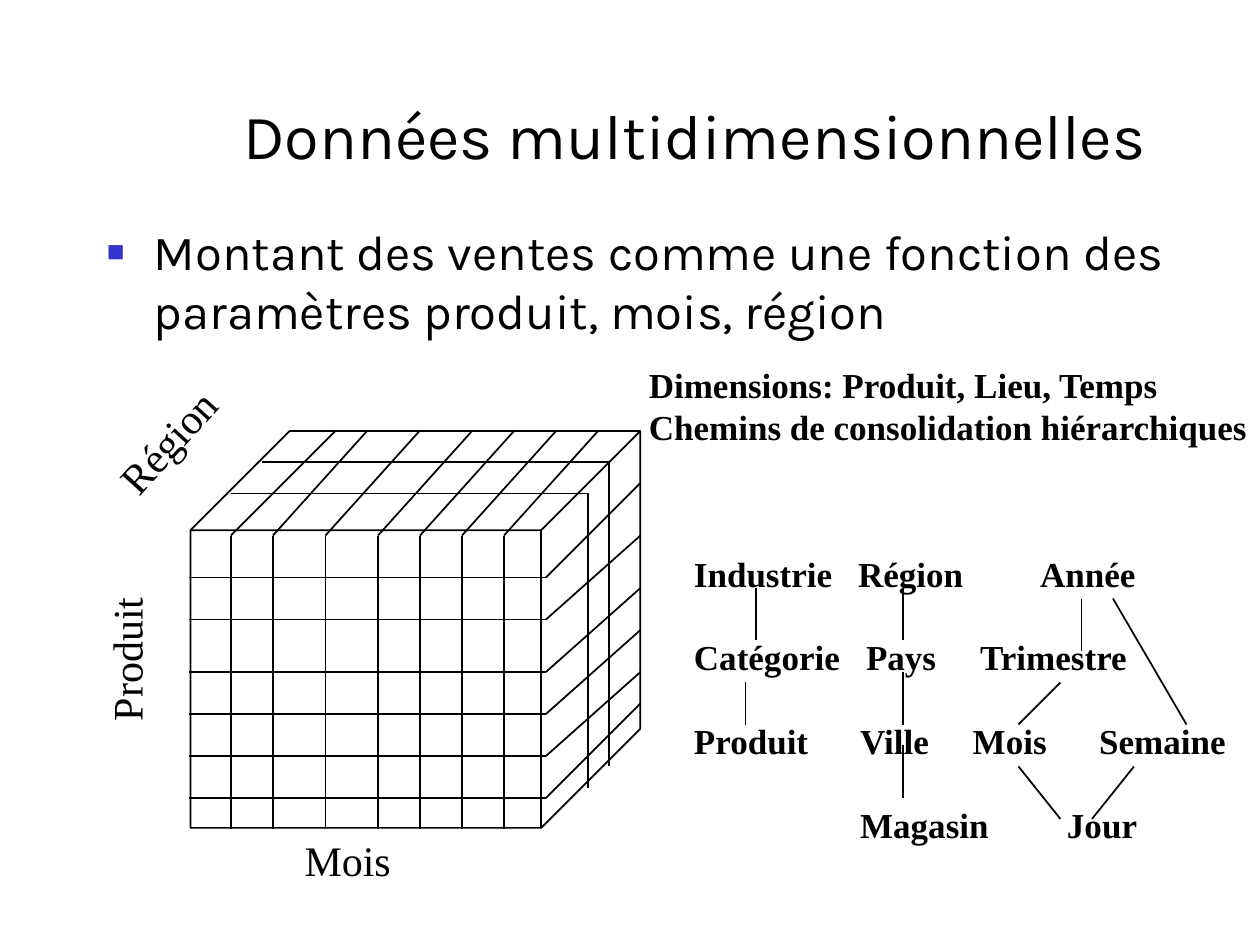
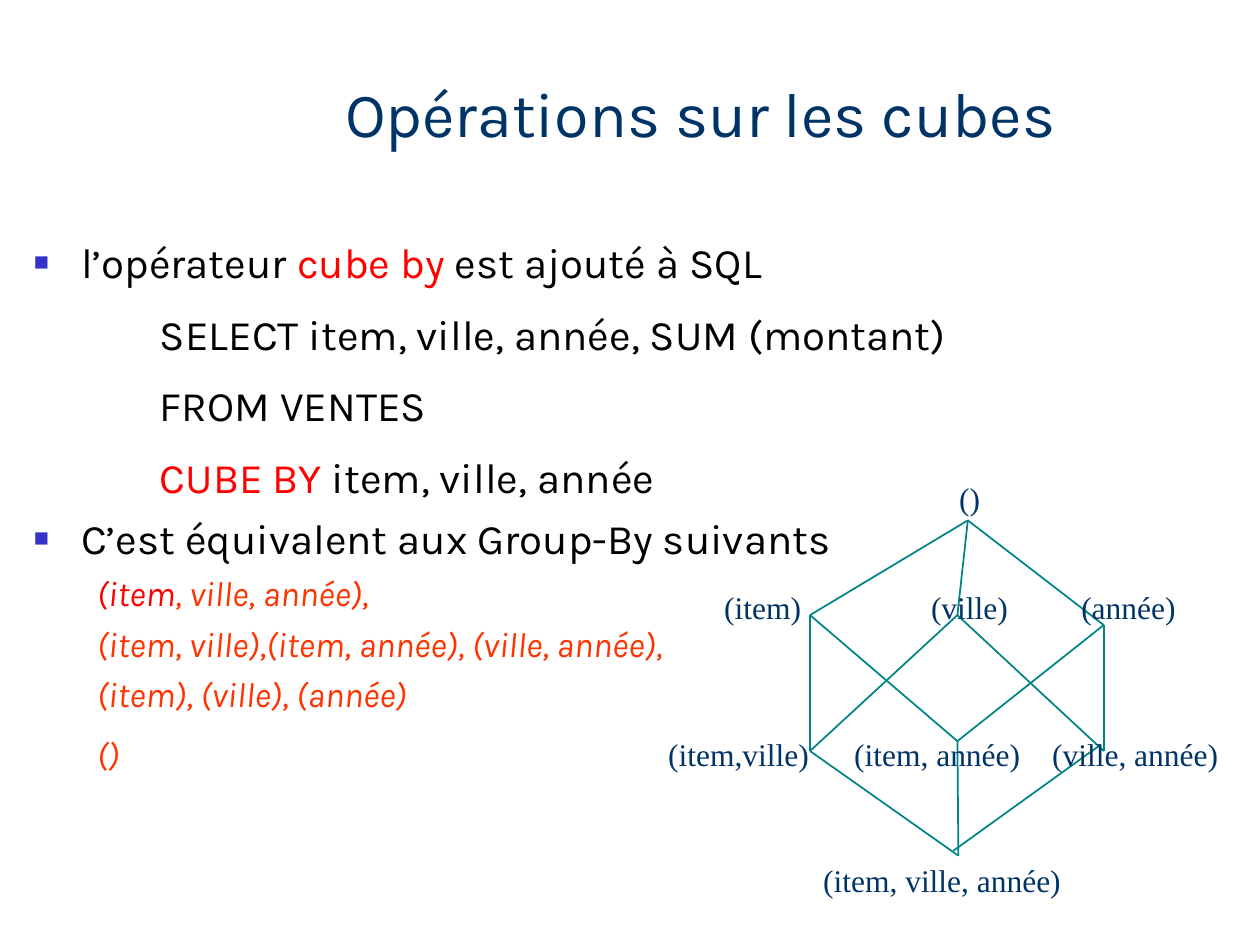
from lxml import etree
from pptx import Presentation
from pptx.dml.color import RGBColor
from pptx.enum import shapes, text
from pptx.oxml import ns
from pptx import util as u

BLACK = RGBColor(0x00, 0x00, 0x00)
NAVY = RGBColor(0x00, 0x33, 0x66)
RED = RGBColor(0xFF, 0x00, 0x00)
ORANGE = RGBColor(0xFF, 0x33, 0x00)
TEAL = RGBColor(0x00, 0x84, 0x84)
BULLET_BLUE = RGBColor(0x33, 0x33, 0xCC)
SANS, SERIF = "Karla", "Times New Roman"
GRID = u.Cm(2.54) / 12
LINE_HEIGHT = 1.2
BULLETED = dict(bullet="■", margin=0.95, indent=-0.95)
JUSTIFIED = dict(align=text.PP_ALIGN.JUSTIFY)

SALES_TEXT = "Montant des ventes comme une fonction des paramètres produit, mois, région"
COLUMNS = [(22, 32), (26, 35), (31, 40), (36, 45), (40, 49), (44, 53), (48, 57)]
ROWS = [(55, 46), (59, 51), (64, 56), (68, 60), (72, 64), (76, 67)]
DEPTHS = [(25, 58, 44, 73), (22, 56, 47, 75)]
FRONT_LEFT, FRONT_RIGHT, FRONT_TOP, FRONT_BOTTOM = 18, 52, 51, 79
BACK_RIGHT, BACK_TOP = 61, 41
AXES = [
    ("Produit", (1.04, 12.65, 3, 1.27), 270, False),
    ("Région", (1.91, 8.26, 2.95, 1.27), 312, True),
    ("Mois", (5.89, 16.69, 2.26, 1.27), 0, False),
]
HEADINGS = ["Dimensions: Produit, Lieu, Temps", "Chemins de consolidation hiérarchiques"]
HIERARCHY_LEVELS = [
    [("Industrie", 13.99), ("Région", 17.3), ("Année", 20.97)],
    [("Catégorie", 13.99), ("Pays", 17.46), ("Trimestre", 19.76)],
    [("Produit", 13.99), ("Ville", 17.34), ("Mois", 19.61), ("Semaine", 22.16)],
    [("Magasin", 17.34), ("Jour", 21.51)],
]
HIERARCHY_TOP, LEVEL_PITCH, LETTER_WIDTH = 11.13, 1.69, 0.4
HIERARCHY_LINKS = [
    (72, 56, 72, 61), (86, 56, 86, 61), (103, 57, 103, 62), (71, 65, 71, 69),
    (86, 64, 86, 69), (86, 71, 86, 76), (101, 65, 97, 69), (106, 57, 113, 69),
    (97, 73, 101, 78), (108, 73, 104, 78),
]

QUERY = dict(margin=3.18, indent=-0.64, before=6, level=2)
GROUPING = dict(margin=2.06, indent=-0.79, before=5, size=20, italic=True, color=ORANGE, level=1)
CUBE_PARAGRAPHS = [
    ([("l’opérateur ", BLACK), ("cube by", RED), (" est ajouté à SQL", BLACK)],
     dict(BULLETED, after=6)),
    ("SELECT item, ville, année, SUM (montant)", dict(QUERY, after=6)),
    ("FROM VENTES", dict(QUERY, after=6)),
    ([("CUBE BY", RED), (" item, ville, année", BLACK)], QUERY),
    ("C’est équivalent aux Group-By suivants", dict(BULLETED, before=6)),
    ([("(item", RED), (", ville, année),", ORANGE)], GROUPING),
    ("(item, ville),(item, année), (ville, année),", GROUPING),
    ("(item), (ville), (année)", GROUPING),
    ("()", dict(GROUPING, before=6, height=28)),
]
LATTICE = {
    "": (19.51, 10.49),
    "i": (16.33, 12.4), "v": (19.3, 12.4), "a": (22.25, 12.6),
    "iv": (16.33, 15.14), "ia": (19.3, 14.94), "va": (22.25, 15.14),
    "iva": (19.32, 17.25),
}
LATTICE_LABELS = [
    ("()", 19.76, 9.65),
    ("(item)", 16.15, 11.86),
    ("(ville)", 20.32, 11.86),
    ("(année)", 23.7, 11.86),
    ("(item,ville)", 16.31, 14.81),
    ("(item, année)", 20.57, 14.81),
    ("(ville, année)", 24.56, 14.81),
    ("(item, ville, année)", 21.39, 17.35),
]
LATTICE_LETTER_WIDTH = 0.32


def cm(*values):
    return [u.Cm(value) for value in values]


def write(paragraph, content, size=24, font=SANS, color=BLACK, bold=False, italic=False,
          align=None, before=0, after=0, height=None, bullet=None, margin=0, indent=0,
          level=0):
    paragraph.level = level
    properties = paragraph._p.get_or_add_pPr()
    properties.set("marL", str(u.Cm(margin)))
    properties.set("indent", str(u.Cm(indent)))
    if bullet:
        bullet_color = etree.SubElement(properties, ns.qn("a:buClr"))
        etree.SubElement(bullet_color, ns.qn("a:srgbClr"), val=str(BULLET_BLUE))
        etree.SubElement(properties, ns.qn("a:buSzPct"), val="60000")
        etree.SubElement(properties, ns.qn("a:buChar"), char=bullet)
    else:
        etree.SubElement(properties, ns.qn("a:buNone"))
    paragraph.alignment = align
    paragraph.space_before, paragraph.space_after = u.Pt(before), u.Pt(after)
    paragraph.line_spacing = u.Pt(height or size * LINE_HEIGHT)
    runs = [(content, color)] if isinstance(content, str) else content
    for words, run_color in runs:
        run = paragraph.add_run()
        run.text = words
        run.font.name, run.font.size = font, u.Pt(size)
        run.font.bold, run.font.italic = bold, italic
        run.font.color.rgb = run_color


def write_all(frame, paragraphs, **shared):
    for index, (content, own) in enumerate(paragraphs):
        paragraph = frame.add_paragraph() if index else frame.paragraphs[0]
        write(paragraph, content, **{**shared, **own})


def add_label(slide, box, paragraphs, wrap=False, inset=True, **shared):
    shape = slide.shapes.add_textbox(*cm(*box))
    frame = shape.text_frame
    frame.word_wrap = wrap
    frame.auto_size = text.MSO_AUTO_SIZE.SHAPE_TO_FIT_TEXT
    if not inset:
        frame.margin_left = frame.margin_right = frame.margin_top = frame.margin_bottom = 0
    write_all(frame, paragraphs, font=SERIF, **shared)
    return shape


def add_line(slide, *ends, color=BLACK):
    line = slide.shapes.add_connector(shapes.MSO_CONNECTOR.STRAIGHT, *map(round, ends))
    line.line.color.rgb = color
    line.line.width = u.Pt(1)
    etree.SubElement(line._element.spPr, ns.qn("a:effectLst"))


def add_grid_line(slide, *ends):
    add_line(slide, *(end * GRID for end in ends))


def place(shape, box):
    shape.left, shape.top, shape.width, shape.height = cm(*box)
    shape.text_frame.word_wrap = True
    shape.text_frame.auto_size = text.MSO_AUTO_SIZE.NONE


def add_slide(presentation, title, title_box, title_color, body_box, paragraphs, **shared):
    slide = presentation.slides.add_slide(presentation.slide_layouts[1])
    heading, body = slide.placeholders
    place(heading, title_box)
    heading.text_frame.vertical_anchor = text.MSO_ANCHOR.BOTTOM
    write(heading.text_frame.paragraphs[0], title, size=36, color=title_color,
          align=text.PP_ALIGN.CENTER)
    place(body, body_box)
    write_all(body.text_frame, paragraphs, **shared)
    return slide


def draw_data_cube(slide):
    cube = slide.shapes.add_shape(shapes.MSO_SHAPE.CUBE, *cm(3.84, 8.69, 9.07, 8))
    cube.adjustments[0] = 0.25
    cube.shadow.inherit = False
    cube.fill.background()
    cube.line.color.rgb = BLACK
    cube.line.width = u.Pt(1)
    for front, back in COLUMNS:
        add_grid_line(slide, front, FRONT_TOP, front, FRONT_BOTTOM)
        add_grid_line(slide, front, FRONT_TOP, back, BACK_TOP)
    for front, back in ROWS:
        add_grid_line(slide, FRONT_LEFT, front, FRONT_RIGHT, front)
        add_grid_line(slide, FRONT_RIGHT, front, BACK_RIGHT, back)
    for left, right, top, bottom in DEPTHS:
        add_grid_line(slide, left, top, right, top)
        add_grid_line(slide, right, top, right, bottom)
    for name, box, rotation, wrap in AXES:
        add_label(slide, box, [(name, {})], wrap=wrap).rotation = rotation


def draw_hierarchies(slide):
    add_label(slide, (12.83, 7.2, 12.6, 1.96), [(line, {}) for line in HEADINGS],
              size=20, bold=True)
    for depth, level in enumerate(HIERARCHY_LEVELS):
        top = HIERARCHY_TOP + depth * LEVEL_PITCH
        for word, left in level:
            add_label(slide, (left, top, LETTER_WIDTH * len(word), 0.85), [(word, {})],
                      wrap=True, inset=False, size=20, bold=True)
    for ends in HIERARCHY_LINKS:
        add_grid_line(slide, *ends)


def draw_lattice(slide):
    for small, (x1, y1) in LATTICE.items():
        for large, (x2, y2) in LATTICE.items():
            if len(large) == len(small) + 1 and set(small) < set(large):
                nudge = 0.1 if (small, large) == ("va", "iva") else 0
                ends = cm(x1 - nudge, y1 - nudge, x2 - nudge, y2 - nudge)
                add_line(slide, *ends, color=TEAL)
    for label, right, top in LATTICE_LABELS:
        width = LATTICE_LETTER_WIDTH * len(label)
        add_label(slide, (right - width, top, width, 0.76), [(label, {})], wrap=True,
                  inset=False, size=18, color=NAVY, align=text.PP_ALIGN.RIGHT)


def main():
    presentation = Presentation()
    presentation.slide_width, presentation.slide_height = cm(25.4, 19.05)
    sales = add_slide(presentation, "Données multidimensionnelles", (3.18, 1.9, 21.64, 1.7),
                      BLACK, (1.9, 4.34, 22.23, 12.7), [(SALES_TEXT, BULLETED)], size=28)
    draw_data_cube(sales)
    draw_hierarchies(sales)
    operations = add_slide(presentation, "Opérations sur les cubes", (3.3, 1.9, 21.64, 1.25),
                           NAVY, (0.43, 4.65, 24.33, 13.54), CUBE_PARAGRAPHS, **JUSTIFIED)
    draw_lattice(operations)
    presentation.save("out.pptx")


if __name__ == "__main__":
    main()
